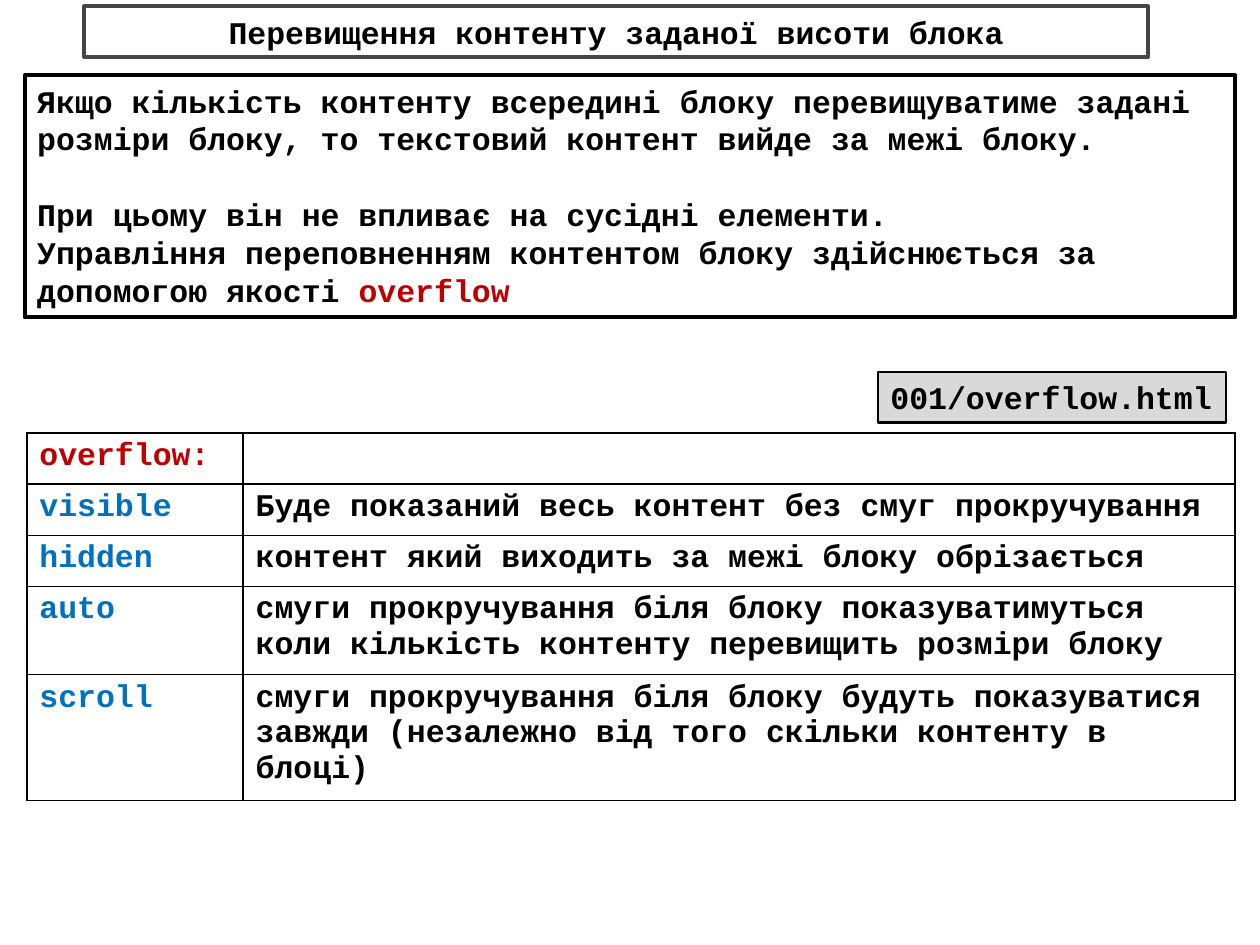
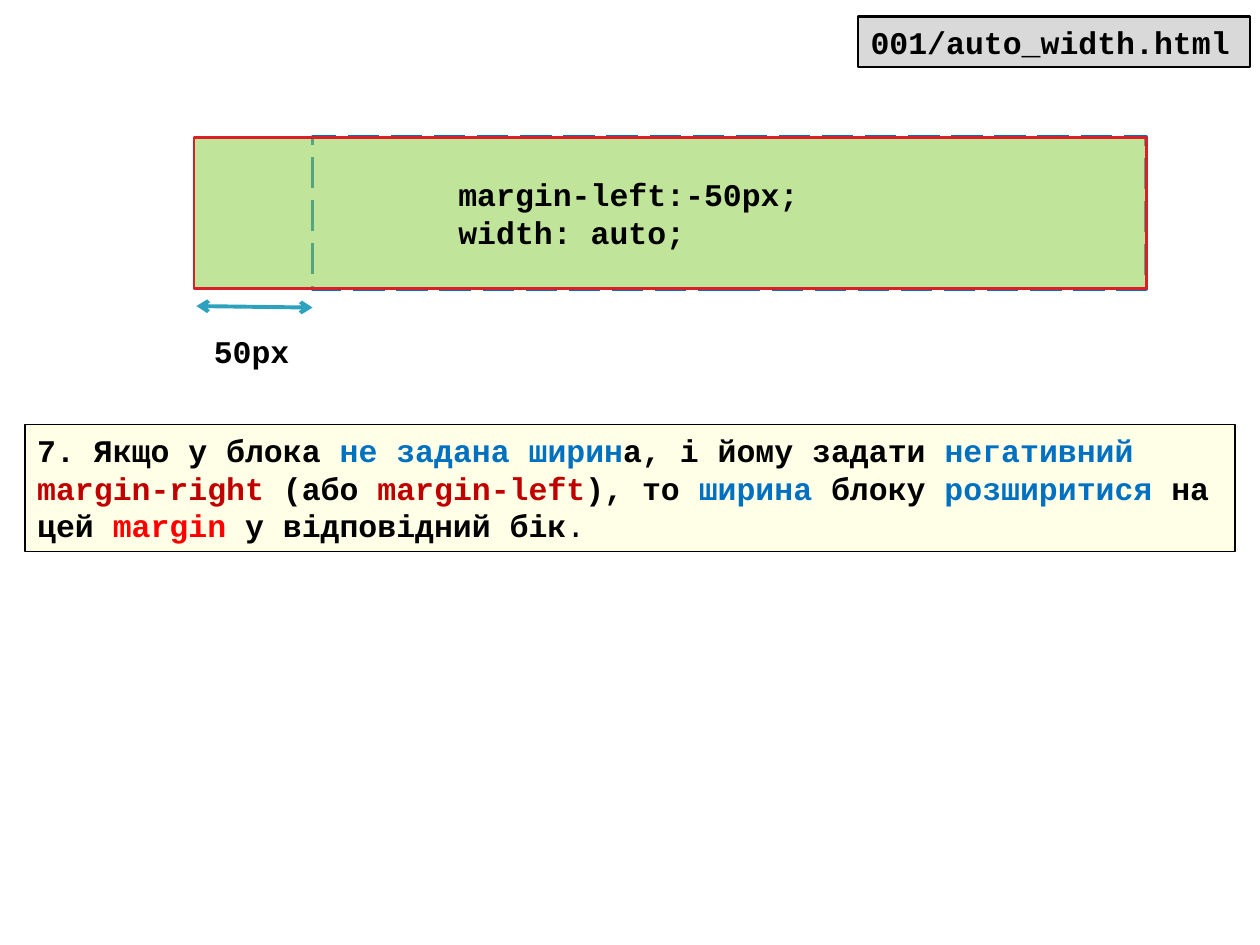
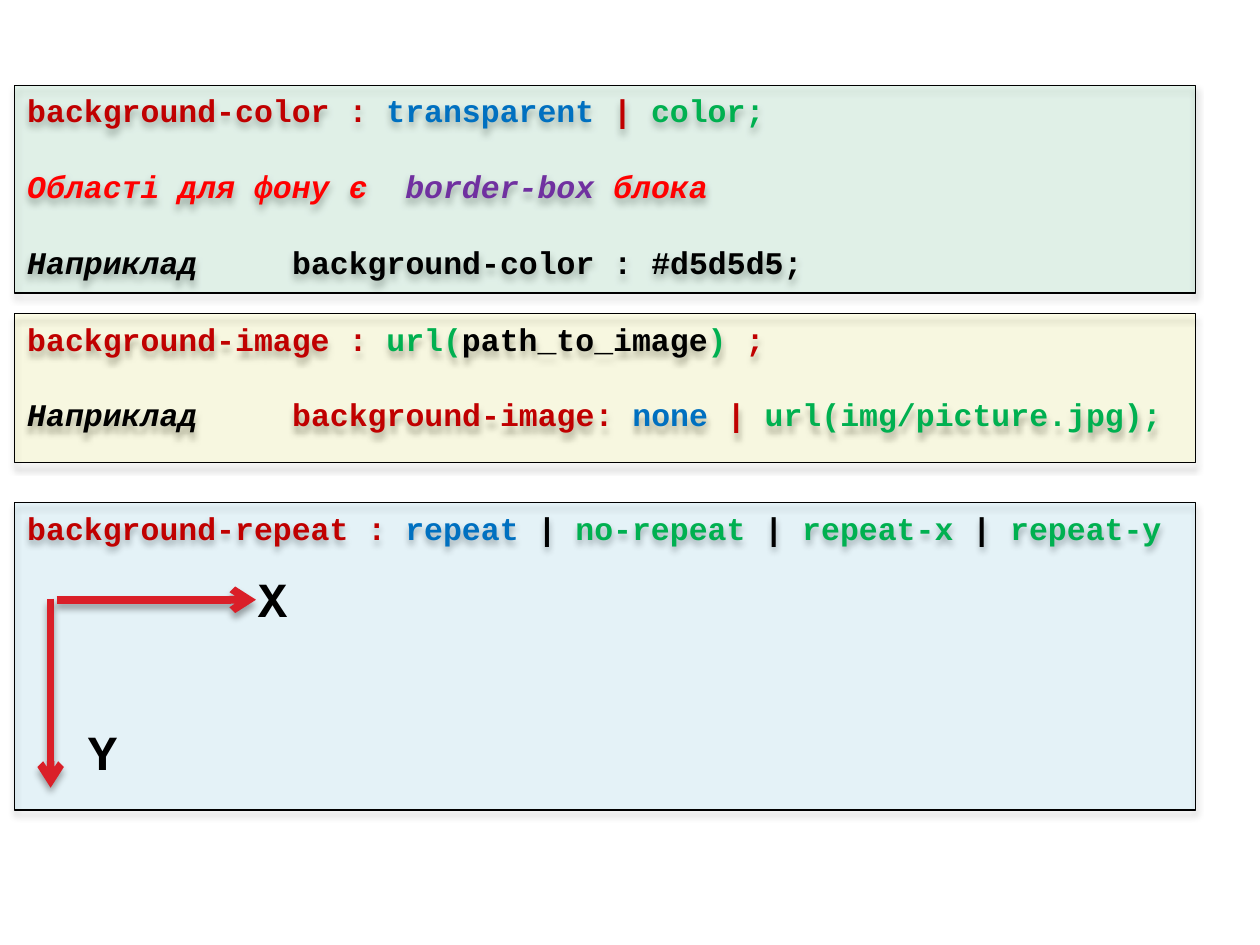
from pptx import Presentation
from pptx.dml.color import RGBColor
from pptx.enum.dml import MSO_LINE
from pptx.enum.shapes import MSO_CONNECTOR as CONN, MSO_SHAPE as SHP
from pptx.enum.text import MSO_ANCHOR as ANC, MSO_AUTO_SIZE as FIT, PP_ALIGN as AL
from pptx.oxml.ns import qn
from pptx.util import Cm, Pt
from lxml.etree import SubElement

# Shared style
FONT = "Courier New"
SIZE = 18
LINE_HEIGHT = Pt(21.6)
BLACK = RGBColor(0x00, 0x00, 0x00)
GRAY = RGBColor(0xD9, 0xD9, 0xD9)
FRAME = RGBColor(0x46, 0x46, 0x46)
CRIMSON = RGBColor(0xC0, 0x00, 0x00)
RED = RGBColor(0xFF, 0x00, 0x00)
BLUE = RGBColor(0x00, 0x70, 0xC0)
SKY = RGBColor(0x00, 0xB0, 0xF0)
TEAL = RGBColor(0x2D, 0xA2, 0xBF)
GREEN = RGBColor(0x00, 0xB0, 0x50)
LIME = RGBColor(0x92, 0xD0, 0x50)
YELLOW = RGBColor(0xFF, 0xFF, 0x00)
PURPLE = RGBColor(0x70, 0x30, 0xA0)
SCARLET = RGBColor(0xDA, 0x1F, 0x28)


# Text: a paragraph is a list of (text, colour, style) runs; style letters:
# "i" for italic, "n" for normal weight
def write(tf, paras, size=SIZE, align=AL.LEFT, gaps=()):
    """Fill a text frame; paragraphs numbered in gaps get one line above."""
    for i, runs in enumerate(paras):
        p = tf.paragraphs[0] if i == 0 else tf.add_paragraph()
        p.alignment = align
        if i in gaps:
            p.space_before = LINE_HEIGHT
        for text, color, *style in runs:
            r = p.add_run()
            r.text = text
            r.font.name = FONT
            r.font.size = Pt(size)
            r.font.bold = "n" not in style
            r.font.italic = "i" in style
            r.font.color.rgb = color


def add_tab(p, pos):
    tabs = SubElement(p._p.get_or_add_pPr(), qn("a:tabLst"))
    SubElement(tabs, qn("a:tab"), pos=str(pos), algn="l")


def set_alpha(fill_color, percent):
    SubElement(fill_color, qn("a:alpha"), val=str(percent * 1000))


def set_effects(sp, shadow):
    """Replace theme effects with a soft drop shadow or with nothing."""
    effects = SubElement(sp._element.spPr, qn("a:effectLst"))
    if shadow:
        outer = SubElement(effects, qn("a:outerShdw"), blurRad=str(Pt(4)),
                           dist=str(Pt(3)), dir="5400000", rotWithShape="0")
        set_alpha(SubElement(outer, qn("a:srgbClr"), val="000000"), 35)


# Elements
def add_box(shapes, x, y, w, h, line, width, fill=None, alpha=None,
            shadow=False, grow=False, anchor=ANC.TOP):
    sp = shapes.add_shape(SHP.RECTANGLE, Cm(x), Cm(y), Cm(w), Cm(h))
    if fill is None:
        sp.fill.background()
    else:
        sp.fill.solid()
        sp.fill.fore_color.rgb = fill
        if alpha:
            set_alpha(sp._element.spPr.find(".//" + qn("a:srgbClr")), alpha)
    sp.line.color.rgb = line
    sp.line.width = Pt(width)
    set_effects(sp, shadow)
    tf = sp.text_frame
    tf.word_wrap = True
    tf.vertical_anchor = anchor
    if grow:
        tf.auto_size = FIT.SHAPE_TO_FIT_TEXT
    return sp


def add_title(s, text):
    sp = add_box(s.shapes, 1.7, 0.13, 21.44, 1.02, FRAME, 2.25, grow=True,
                 anchor=ANC.MIDDLE)
    tf = sp.text_frame
    tf.margin_top = tf.margin_bottom = Cm(0.62)
    write(tf, [[(text, BLACK)]], align=AL.CENTER)


def add_file_tag(s, x, y, w, name):
    sp = add_box(s.shapes, x, y, w, 1.02, BLACK, 1.5, GRAY, grow=True)
    write(sp.text_frame, [[(name, BLACK)]])


def add_label(shapes, x, y, w, h, text, size=SIZE):
    tf = shapes.add_textbox(Cm(x), Cm(y), Cm(w), Cm(h)).text_frame
    tf.word_wrap = False
    tf.auto_size = FIT.SHAPE_TO_FIT_TEXT
    write(tf, [[(text, BLACK)]], size)


def add_arrow(shapes, x1, y1, x2, y2, color, width, ends=("tailEnd",),
              shadow=False):
    cn = shapes.add_connector(CONN.STRAIGHT, Cm(x1), Cm(y1), Cm(x2), Cm(y2))
    cn.line.color.rgb = color
    cn.line.width = Pt(width)
    for end in ends:
        SubElement(cn.line._get_or_add_ln(), qn("a:" + end), type="arrow")
    set_effects(cn, shadow)


def add_borders(cell):
    tc_pr = cell._tc.get_or_add_tcPr()
    for i, side in enumerate(("lnL", "lnR", "lnT", "lnB")):
        ln = SubElement(tc_pr, qn("a:" + side), w=str(Pt(1)))
        fill = SubElement(ln, qn("a:solidFill"))
        SubElement(fill, qn("a:srgbClr"), val=str(BLACK))
        tc_pr.remove(ln)
        tc_pr.insert(i, ln)


def add_value_table(s, x, y, widths, heights, rows):
    table = s.shapes.add_table(len(rows), len(widths), Cm(x), Cm(y),
                               Cm(sum(widths)), Cm(sum(heights))).table
    table.first_row = table.horz_banding = False
    for col, w in zip(table.columns, widths):
        col.width = Cm(w)
    for row, h, values in zip(table.rows, heights, rows):
        row.height = Cm(h)
        for cell, (text, color) in zip(row.cells, values):
            cell.fill.background()
            add_borders(cell)
            if text:
                write(cell.text_frame, [[(text, color)]])


# Slides
def overflow_slide(s):
    add_title(s, "Перевищення контенту заданої висоти блока")
    sp = add_box(s.shapes, 0.5, 1.52, 24.4, 4.88, BLACK, 2.25, grow=True)
    write(sp.text_frame, [
        [("Якщо кількість контенту всередині блоку перевищуватиме задані "
          "розміри блоку, то текстовий контент вийде за межі блоку.", BLACK)],
        [("При цьому він не впливає на сусідні елементи.", BLACK)],
        [("Управління переповненням контентом блоку здійснюється за "
          "допомогою якості ", BLACK), ("overflow", CRIMSON)],
    ], gaps=(1,))

    values = [
        ("visible", "Буде показаний весь контент без смуг прокручування"),
        ("hidden", "контент який виходить за межі блоку обрізається"),
        ("auto", "смуги прокручування біля блоку показуватимуться коли "
                 "кількість контенту перевищить розміри блоку"),
        ("scroll", "смуги прокручування біля блоку будуть показуватися "
                   "завжди (незалежно від того скільки контенту в блоці)"),
    ]
    rows = [(("overflow:", CRIMSON), ("", BLACK))]
    rows += [((name, BLUE), (meaning, BLACK)) for name, meaning in values]
    add_value_table(s, 0.54, 8.73, (4.36, 20),
                    (1.03, 1.03, 1.03, 1.78, 2.54), rows)
    add_file_tag(s, 17.7, 7.5, 7.02, "001/overflow.html")


def auto_width_slide(s):
    # Margin measure
    add_arrow(s.shapes, 3.96, 6.17, 6.3, 6.2, TEAL, 2.25,
              ("headEnd", "tailEnd"))
    add_label(s.shapes, 4.06, 6.56, 2.06, 1.02, "50px")

    # Rule
    sp = add_box(s.shapes, 0.5, 8.56, 24.4, 2.56, BLACK, 1, YELLOW, 9,
                 grow=True)
    write(sp.text_frame, [[
        ("7. Якщо у блока ", BLACK), ("не задана ширин", BLUE),
        ("а, і йому задати ", BLACK), ("негативний ", BLUE),
        ("margin-right", CRIMSON), (" (або ", BLACK),
        ("margin-left", CRIMSON), ("), то ", BLACK), ("ширина", BLUE),
        (" блоку ", BLACK), ("розширитися", BLUE), (" на цей ", BLACK),
        ("margin ", RED), ("у відповідний бік", BLACK), (".", BLACK, "n"),
    ]])

    # Parent outline and the widened block
    parent = add_box(s.shapes, 6.3, 2.77, 16.81, 3.05, BLUE, 2.25)
    parent.line.dash_style = MSO_LINE.LONG_DASH
    block = add_box(s.shapes, 3.91, 2.77, 19.2, 3.05, SCARLET, 1.5, LIME, 57,
                    anchor=ANC.MIDDLE)
    write(block.text_frame, [[("margin-left:-50px;", BLACK)],
                             [("width: auto;", BLACK)]])
    for p in block.text_frame.paragraphs:
        p._p.get_or_add_pPr().set("marL", str(Cm(5.08)))
    add_file_tag(s, 17.3, 0.33, 7.9, "001/auto_width.html")


def add_property_box(shapes, y, h, fill, alpha, paras):
    sp = add_box(shapes, 0.3, y, 23.8, h, BLACK, 0.75, fill, alpha,
                 shadow=True)
    write(sp.text_frame, paras, gaps=range(1, len(paras)))
    if len(paras) > 1:
        add_tab(sp.text_frame.paragraphs[-1], Cm(5.34))


def background_slide(s):
    # Repeat directions
    group = s.shapes.add_group_shape().shapes
    add_property_box(group, 10.13, 6.2, SKY, 8, [[
        ("background-repeat : ", CRIMSON), ("repeat", BLUE), (" | ", BLACK),
        ("no-repeat ", GREEN), ("| ", BLACK), ("repeat-x ", GREEN),
        ("| ", BLACK), ("repeat-y", GREEN),
    ]])
    for axis in ((1.02, 12.07, 1.02, 15.88), (1.14, 12.09, 5.16, 12.09)):
        add_arrow(group, *axis, SCARLET, 4.33, shadow=True)
    for name, x, y in (("X", 4.95, 11.33), ("Y", 1.52, 14.43)):
        add_label(group, x, y, 1.14, 1.5, name, 28)

    # Colour and image
    add_property_box(s.shapes, 1.72, 4.19, GREEN, 9, [
        [("background-color : ", CRIMSON), ("transparent", BLUE),
         (" | ", CRIMSON), ("color;", GREEN)],
        [("Області для фону є  ", RED, "i"), ("border-box ", PURPLE, "i"),
         ("блока", RED, "i")],
        [("Наприклад", BLACK, "i"),
         ("\tbackground-color : #d5d5d5;", BLACK)],
    ])
    add_property_box(s.shapes, 6.32, 3, YELLOW, 9, [
        [("background-image : ", CRIMSON), ("url(", GREEN),
         ("path_to_image", BLACK), (") ", GREEN), (";", CRIMSON)],
        [("Наприклад", BLACK, "i"), ("\tbackground-image: ", CRIMSON),
         ("none", BLUE), (" | ", CRIMSON), ("url(img/picture.jpg);", GREEN)],
    ])


def main():
    prs = Presentation()
    prs.slide_width, prs.slide_height = Cm(25.4), Cm(19.05)
    for build in (overflow_slide, auto_width_slide, background_slide):
        build(prs.slides.add_slide(prs.slide_layouts[6]))
    prs.save("out.pptx")


if __name__ == "__main__":
    main()
